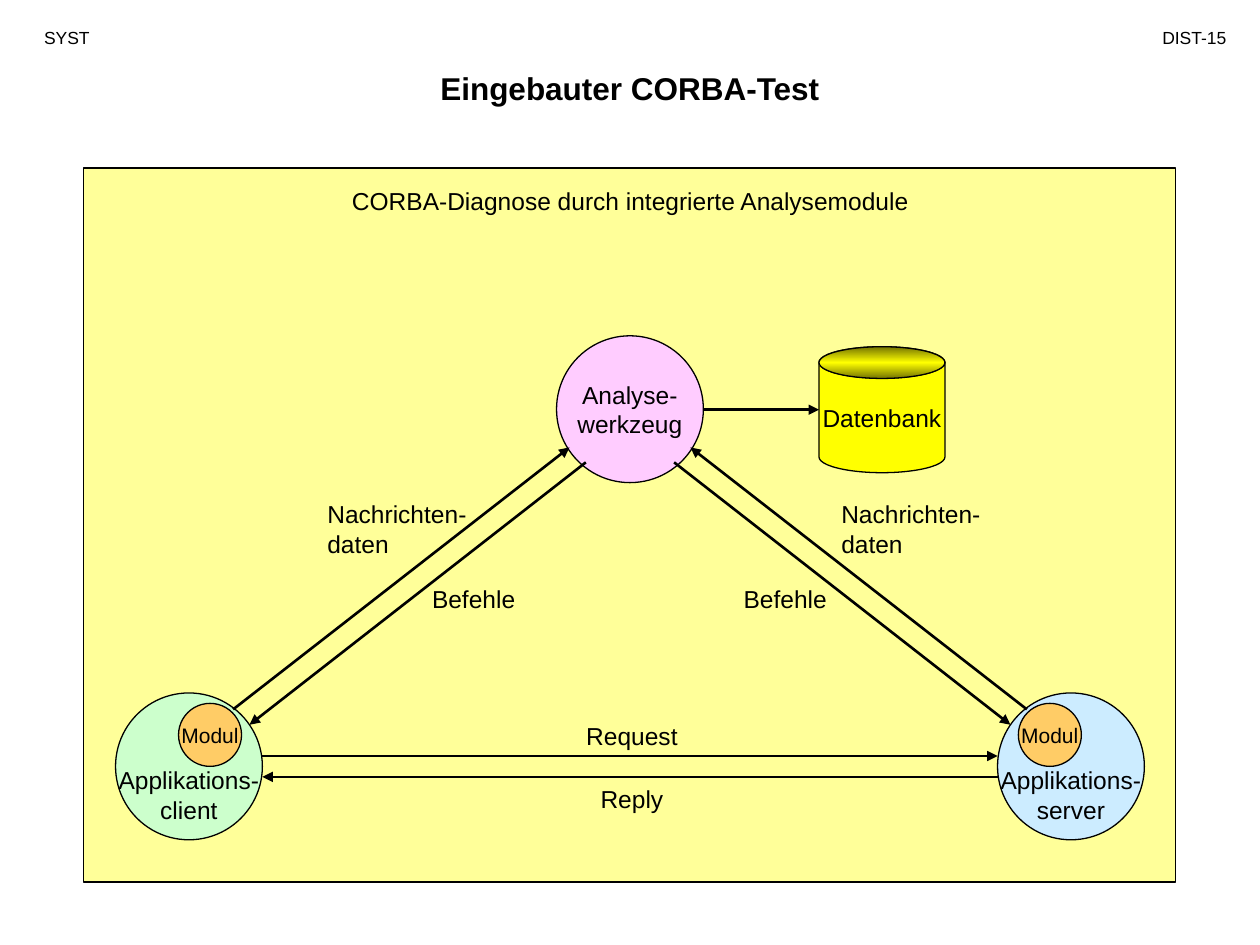
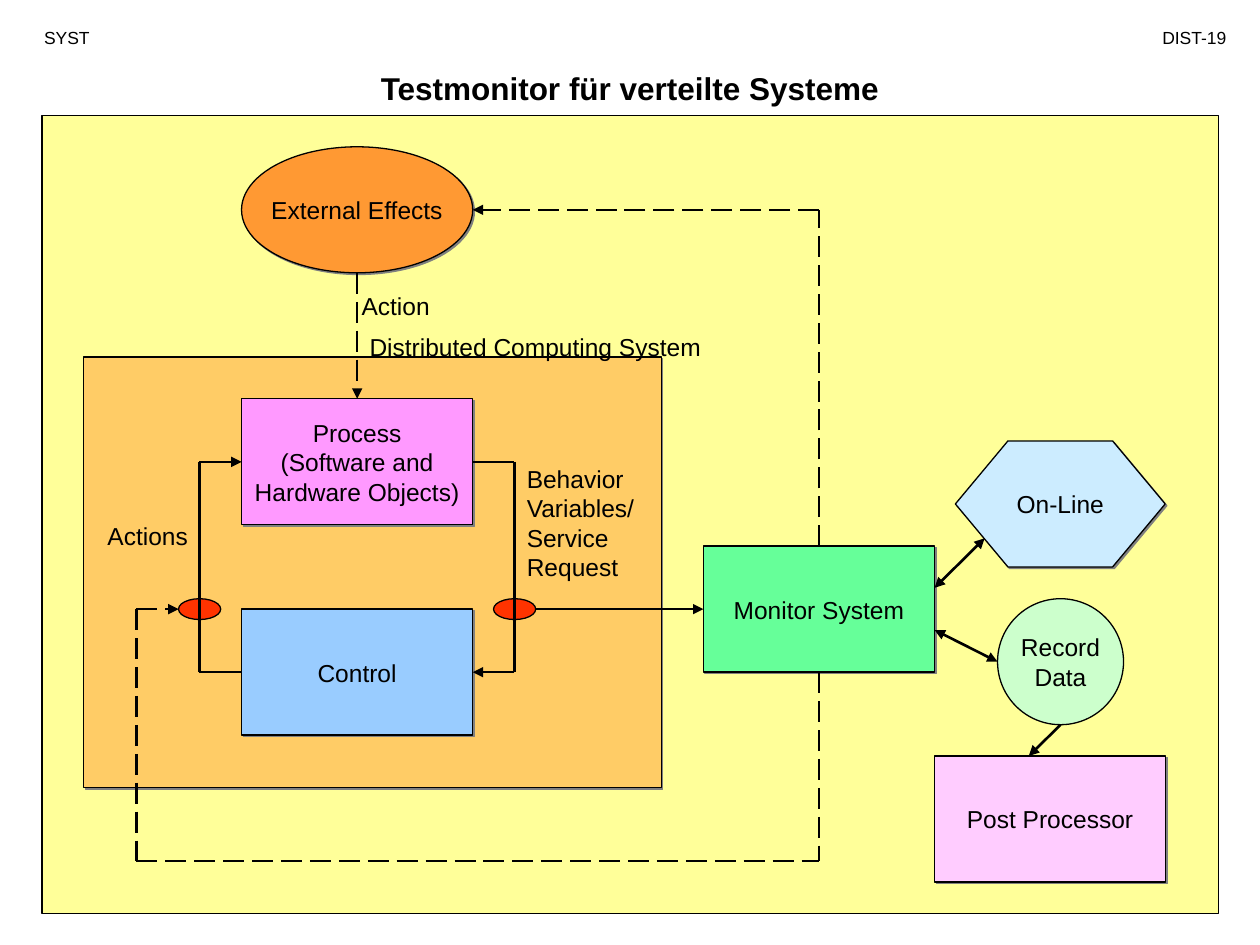
from copy import deepcopy
from dataclasses import dataclass, replace

from lxml.etree import SubElement
from pptx import Presentation
from pptx.dml.color import RGBColor
from pptx.enum.dml import MSO_LINE
from pptx.enum.shapes import MSO_CONNECTOR, MSO_SHAPE
from pptx.enum.text import MSO_ANCHOR, PP_ALIGN
from pptx.oxml.ns import qn
from pptx.shapes.autoshape import Shape
from pptx.slide import Slide
from pptx.text.text import TextFrame
from pptx.util import Cm, Pt

SLIDE_WIDTH, SLIDE_HEIGHT = 25.4, 19.05
FONT = "Arial"
COLOURS = {
    "black": "000000", "panel": "FFFF99", "amber": "FFCC66", "rose": "FFCCFF",
    "ice": "CCECFF", "mint": "CCFFCC", "yellow": "FFFF00", "olive": "757500",
    "magenta": "FF99FF", "blue": "99CCFF", "green": "66FF99", "orange": "FF9933",
    "red": "FF3300", "shadow": "808080",
}
LEFT, CENTER, RIGHT = PP_ALIGN.LEFT, PP_ALIGN.CENTER, PP_ALIGN.RIGHT
RECTANGLE, OVAL = MSO_SHAPE.RECTANGLE, MSO_SHAPE.OVAL


@dataclass(frozen=True)
class Node:
    """A filled shape; positions and sizes are in centimetres."""
    kind: MSO_SHAPE
    left: float
    top: float
    width: float
    height: float
    fill: str
    text: str = ""
    size: int = 14
    shadow: bool = False
    top_inset: float = 0.13
    adjustment: float | None = None


@dataclass(frozen=True)
class Flow:
    """A line through several points with an arrowhead at its end."""
    points: tuple[tuple[float, float], ...]
    dashed: bool = False
    both_ends: bool = False
    arrow: bool = True


@dataclass(frozen=True)
class Label:
    text: str
    left: float
    top: float
    width: float
    height: float = 0.86
    align: PP_ALIGN = LEFT
    size: int = 14
    bold: bool = False
    anchor: MSO_ANCHOR = MSO_ANCHOR.MIDDLE


def colour(name: str) -> RGBColor:
    return RGBColor.from_string(COLOURS[name])


def write_text(frame: TextFrame, text: str, size: int, align: PP_ALIGN, bold: bool = False) -> None:
    frame.text = text
    for paragraph in frame.paragraphs:
        paragraph.alignment = align
        paragraph.font.name = FONT
        paragraph.font.size = Pt(size)
        paragraph.font.bold = bold
        paragraph.font.color.rgb = colour("black")


def add_shadow(shape: Shape) -> None:
    effects = shape._element.spPr.find(qn("a:effectLst"))
    outer = SubElement(effects, qn("a:outerShdw"), dist=str(Pt(1.4)), dir="2700000",
                       algn="ctr", rotWithShape="0")
    SubElement(outer, qn("a:srgbClr"), val=COLOURS["shadow"])


def draw_node(slide: Slide, node: Node) -> Shape:
    shape = slide.shapes.add_shape(
        node.kind, Cm(node.left), Cm(node.top), Cm(node.width), Cm(node.height))
    shape.shadow.inherit = False
    if node.shadow:
        add_shadow(shape)
    if node.adjustment is not None:
        shape.adjustments[0] = node.adjustment
    shape.fill.solid()
    shape.fill.fore_color.rgb = colour(node.fill)
    shape.line.color.rgb = colour("black")
    shape.line.width = Pt(0.75)
    if node.text:
        frame = shape.text_frame
        frame.word_wrap = False
        frame.vertical_anchor = MSO_ANCHOR.MIDDLE
        frame.margin_top = Cm(node.top_inset)
        write_text(frame, node.text, node.size, CENTER)
    return shape


def shade_lid(lid: Shape) -> None:
    """Give the lid a vertical olive, yellow, olive gradient."""
    lid.fill.gradient()
    lid.fill.gradient_angle = 90
    stop_list = lid._element.spPr.find(qn("a:gradFill")).find(qn("a:gsLst"))
    stop_list.insert(1, deepcopy(stop_list[0]))
    for stop, position, name in zip(lid.fill.gradient_stops, (0, 0.5, 1), ("olive", "yellow", "olive")):
        stop.position = position
        stop.color.rgb = colour(name)


def draw_flow(slide: Slide, flow: Flow) -> None:
    segments = list(zip(flow.points, flow.points[1:]))
    for index, (start, end) in enumerate(segments):
        connector = slide.shapes.add_connector(
            MSO_CONNECTOR.STRAIGHT, *(Cm(value) for value in start + end))
        connector.line.color.rgb = colour("black")
        connector.line.width = Pt(1.5)
        if flow.dashed:
            connector.line.dash_style = MSO_LINE.LONG_DASH
        properties = connector._element.spPr
        outline = properties.find(qn("a:ln"))
        if flow.both_ends:
            SubElement(outline, qn("a:headEnd"), type="triangle")
        if flow.arrow and index == len(segments) - 1:
            SubElement(outline, qn("a:tailEnd"), type="triangle")
        SubElement(properties, qn("a:effectLst"))


def draw_label(slide: Slide, label: Label) -> None:
    box = slide.shapes.add_textbox(
        Cm(label.left), Cm(label.top), Cm(label.width), Cm(label.height))
    box.text_frame.word_wrap = True
    box.text_frame.vertical_anchor = label.anchor
    write_text(box.text_frame, label.text, label.size, label.align, label.bold)


def draw_all(slide: Slide, nodes: list[Node], flows: list[Flow], labels: list[Label]) -> None:
    for node in nodes:
        draw_node(slide, node)
    for flow in flows:
        draw_flow(slide, flow)
    for label in labels:
        draw_label(slide, label)


def add_titled_slide(presentation: Presentation, title: str, number: str) -> Slide:
    slide = presentation.slides.add_slide(presentation.slide_layouts[6])
    top = MSO_ANCHOR.TOP
    for label in (
        Label(title, 5.08, 1.27, 15.24, 1.02, CENTER, 18, True, top),
        Label("SYST", 0.64, 0.43, 2.34, 0.69, LEFT, 10, anchor=top),
        Label(number, 22.23, 0.43, 2.74, 0.69, RIGHT, 10, anchor=top),
    ):
        draw_label(slide, label)
    return slide


def mirror_node(node: Node, **changes: str) -> Node:
    return replace(node, left=SLIDE_WIDTH - node.left - node.width, **changes)


def mirror_flow(flow: Flow) -> Flow:
    return replace(flow, points=tuple((SLIDE_WIDTH - x, y) for x, y in flow.points))


def build_corba_test(presentation: Presentation) -> None:
    slide = add_titled_slide(presentation, "Eingebauter CORBA-Test", "DIST-15")
    circle = 2.96
    client = Node(OVAL, 2.33, 13.97, circle, circle, "mint",
                  "Applikations-\nclient", top_inset=1.27)
    module = Node(OVAL, 3.6, 14.18, 1.27, 1.27, "amber", "Modul", 12)
    database = Node(MSO_SHAPE.CAN, 16.51, 6.99, 2.54, 2.54, "yellow", "Datenbank", adjustment=0.25)
    nodes = [
        Node(RECTANGLE, 1.69, 3.39, 22.01, 14.39, "panel"),
        Node(OVAL, 11.22, 6.77, circle, circle, "rose", "Analyse-\nwerkzeug"),
        client,
        mirror_node(client, fill="ice", text="Applikations-\nserver"),
        module,
        mirror_node(module),
        database,
    ]
    message_data = Flow(((4.7, 14.3), (11.48, 9.02)))
    commands = Flow(((11.81, 9.32), (5.03, 14.61)))
    flows = [
        message_data, mirror_flow(message_data),
        commands, mirror_flow(commands),
        Flow(((14.18, 8.26), (16.51, 8.26))),
        Flow(((5.29, 15.24), (20.11, 15.24))),
        Flow(((20.11, 15.66), (5.29, 15.66))),
    ]
    labels = [
        Label("CORBA-Diagnose durch integrierte Analysemodule", 5.51, 3.61, 14.4, align=CENTER),
        Label("Request", 11.1, 14.4, 3.28, align=CENTER),
        Label("Reply", 11.1, 15.67, 3.28, align=CENTER),
        *(Label("Nachrichten-\ndaten", left, 9.93, 3.91, 1.45) for left in (6.35, 16.71)),
        Label("Befehle", 8.46, 11.63, 3.94),
        Label("Befehle", 12.98, 11.63, 3.94, align=RIGHT),
    ]
    draw_all(slide, nodes, flows, labels)
    shade_lid(draw_node(slide, replace(database, kind=OVAL, height=0.64, text="", adjustment=None)))


def build_test_monitor(presentation: Presentation) -> None:
    slide = add_titled_slide(presentation, "Testmonitor für verteilte Systeme", "DIST-19")
    blocks = [
        (OVAL, 4.87, 2.96, "orange", "External Effects"),
        (RECTANGLE, 4.87, 8.04, "magenta", "Process\n(Software and\nHardware Objects)"),
        (RECTANGLE, 4.87, 12.28, "blue", "Control"),
        (RECTANGLE, 14.18, 11.01, "green", "Monitor System"),
        (RECTANGLE, 18.84, 15.24, "rose", "Post Processor"),
    ]
    nodes = [
        Node(RECTANGLE, 0.85, 2.33, 23.71, 16.09, "panel"),
        Node(RECTANGLE, 1.69, 7.2, 11.64, 8.68, "amber", shadow=True),
        *(Node(kind, left, top, 4.66, 2.54, fill, text, shadow=True)
          for kind, left, top, fill, text in blocks),
        *(Node(OVAL, left, 12.07, 0.85, 0.42, "red") for left in (3.6, 9.95)),
        Node(MSO_SHAPE.HEXAGON, 19.26, 8.89, 4.23, 2.54, "ice", "On-Line",
             shadow=True, adjustment=0.417),
        Node(OVAL, 20.11, 12.07, 2.54, 2.54, "mint", "Record\nData"),
    ]
    process_y, control_y, probe_y = 9.31, 13.55, 12.28
    block_left, block_right, monitor_x = 4.87, 9.53, 16.51
    actions_x, behavior_x = 4.02, 10.37
    flows = [
        Flow(((block_left, control_y), (actions_x, control_y),
              (actions_x, process_y), (block_left, process_y))),
        Flow(((block_right, process_y), (behavior_x, process_y),
              (behavior_x, control_y), (block_right, control_y))),
        Flow(((10.8, probe_y), (14.18, probe_y))),
        Flow(((18.84, 11.85), (19.85, 10.85)), both_ends=True),
        Flow(((18.84, 12.7), (20.11, 13.34)), both_ends=True),
        Flow(((21.38, 14.61), (20.74, 15.24))),
        Flow(((7.2, 5.5), (7.2, 8.04)), dashed=True),
        Flow(((monitor_x, 13.55), (monitor_x, 17.36)), dashed=True, arrow=False),
        Flow(((2.75, 17.36), (monitor_x, 17.36)), dashed=True, arrow=False),
        Flow(((2.75, probe_y), (2.75, 17.36)), dashed=True, arrow=False),
        Flow(((2.75, probe_y), (3.6, probe_y)), dashed=True),
        Flow(((monitor_x, 11.01), (monitor_x, 4.23), (block_right, 4.23)), dashed=True),
    ]
    labels = [
        Label("Distributed Computing System", 7.2, 6.56, 7.62),
        Label("Action", 7.04, 5.74, 7.62),
        Label("Actions", 1.32, 10.37, 2.72, align=RIGHT),
        Label("Behavior\nVariables/\nService\nRequest", 10.37, 9.22, 3.38, 2.64),
    ]
    draw_all(slide, nodes, flows, labels)


def main() -> None:
    presentation = Presentation()
    presentation.slide_width = Cm(SLIDE_WIDTH)
    presentation.slide_height = Cm(SLIDE_HEIGHT)
    build_corba_test(presentation)
    build_test_monitor(presentation)
    presentation.save("out.pptx")


if __name__ == "__main__":
    main()
